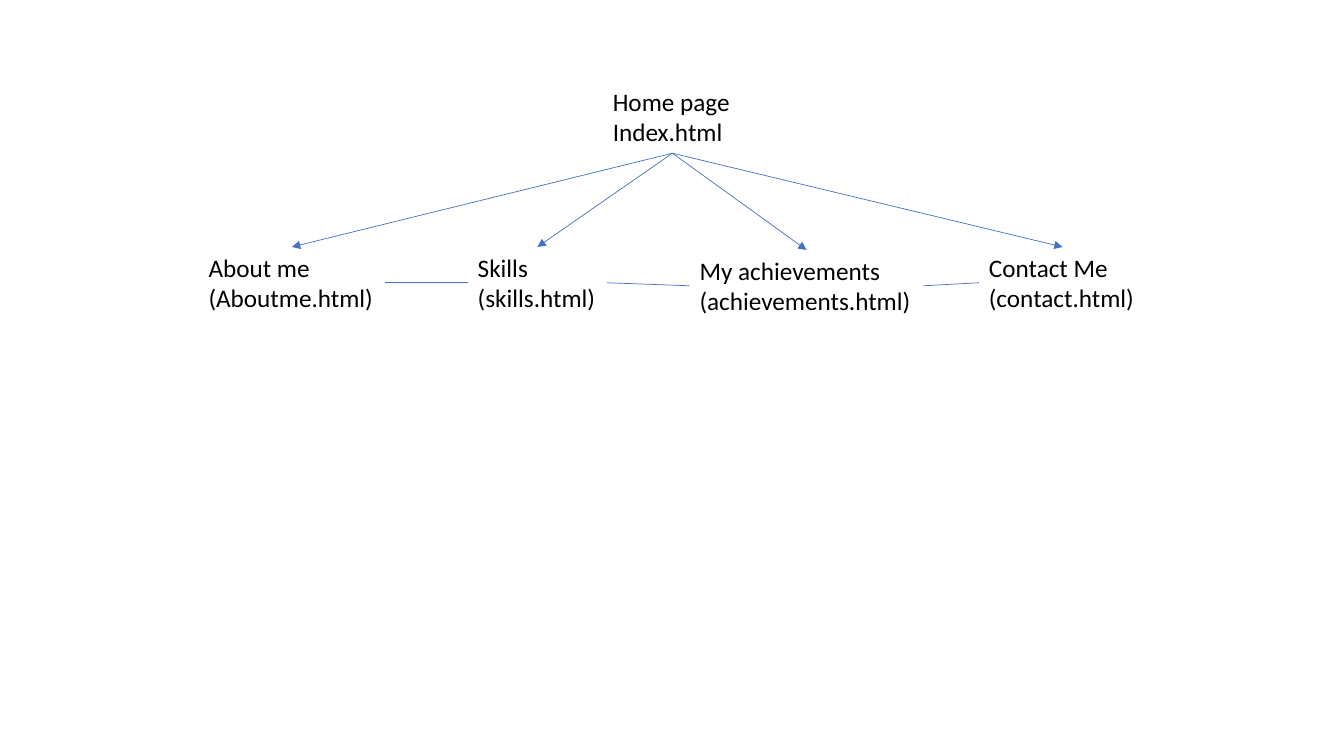
from dataclasses import dataclass
from itertools import pairwise

from lxml import etree
from pptx import Presentation
from pptx.dml.color import RGBColor
from pptx.enum.shapes import MSO_CONNECTOR
from pptx.enum.text import MSO_AUTO_SIZE
from pptx.oxml.ns import qn
from pptx.shapes.autoshape import Shape
from pptx.slide import Slide
from pptx.util import Inches, Pt

STRAIGHT = MSO_CONNECTOR.STRAIGHT
FIT_SHAPE = MSO_AUTO_SIZE.SHAPE_TO_FIT_TEXT
BLACK = RGBColor(0x00, 0x00, 0x00)
BLUE = RGBColor(0x44, 0x72, 0xC4)

SLIDE_WIDTH = Inches(13.33)
SLIDE_HEIGHT = Inches(7.5)
COLUMN = SLIDE_WIDTH / 100
ROW = SLIDE_HEIGHT / 100
PAGE_ROWS = 9.47
TOP, LEFT, BOTTOM, RIGHT = range(4)
BLANK_LAYOUT = 6


@dataclass(frozen=True)
class Page:
    title: str
    file_name: str
    column: float
    row: float
    columns: float


HOME_PAGE = Page("Home page", "Index.html", 44.86, 10.8, 10.35)
SUBPAGES = [
    Page("About me", "(Aboutme.html)", 14.78, 32.67, 13.88),
    Page("Skills", "(skills.html)", 34.81, 32.67, 10.35),
    Page("My achievements", "(achievements.html)", 51.31, 33.07, 17.4),
    Page("Contact Me", "(contact.html)", 72.84, 32.67, 12.45),
]


def add_text(slide: Slide, text: str, *, left: float, top: float,
             width: float, height: float, size: float = 18,
             font: str = "Calibri", color: RGBColor = BLACK) -> Shape:
    shape = slide.shapes.add_textbox(
        round(left * COLUMN), round(top * ROW),
        round(width * COLUMN), round(height * ROW))
    frame = shape.text_frame
    frame.text = text
    frame.word_wrap = False
    frame.auto_size = FIT_SHAPE
    for paragraph in frame.paragraphs:
        paragraph.font.size = Pt(size)
        paragraph.font.name = font
        paragraph.font.color.rgb = color
    return shape


def add_page(slide: Slide, page: Page) -> Shape:
    return add_text(slide, f"{page.title}\n{page.file_name}",
                    left=page.column, top=page.row,
                    width=page.columns, height=PAGE_ROWS)


def add_link(slide: Slide, start: Shape, start_site: int,
             end: Shape, end_site: int, *, arrow: bool = False) -> None:
    connector = slide.shapes.add_connector(STRAIGHT, 0, 0, 0, 0)
    connector.begin_connect(start, start_site)
    connector.end_connect(end, end_site)
    connector.line.color.rgb = BLUE
    connector.line.width = Pt(0.5)
    properties = connector._element.spPr
    if arrow:
        line = properties.find(qn("a:ln"))
        etree.SubElement(line, qn("a:tailEnd"), type="triangle")
    etree.SubElement(properties, qn("a:effectLst"))


def main() -> None:
    presentation = Presentation()
    presentation.slide_width = SLIDE_WIDTH
    presentation.slide_height = SLIDE_HEIGHT
    slide = presentation.slides.add_slide(presentation.slide_layouts[BLANK_LAYOUT])

    home = add_page(slide, HOME_PAGE)
    subpages = [add_page(slide, page) for page in SUBPAGES]
    for subpage in subpages:
        add_link(slide, home, BOTTOM, subpage, TOP, arrow=True)
    for previous, following in pairwise(subpages):
        add_link(slide, previous, RIGHT, following, LEFT)

    presentation.save("out.pptx")


if __name__ == "__main__":
    main()
